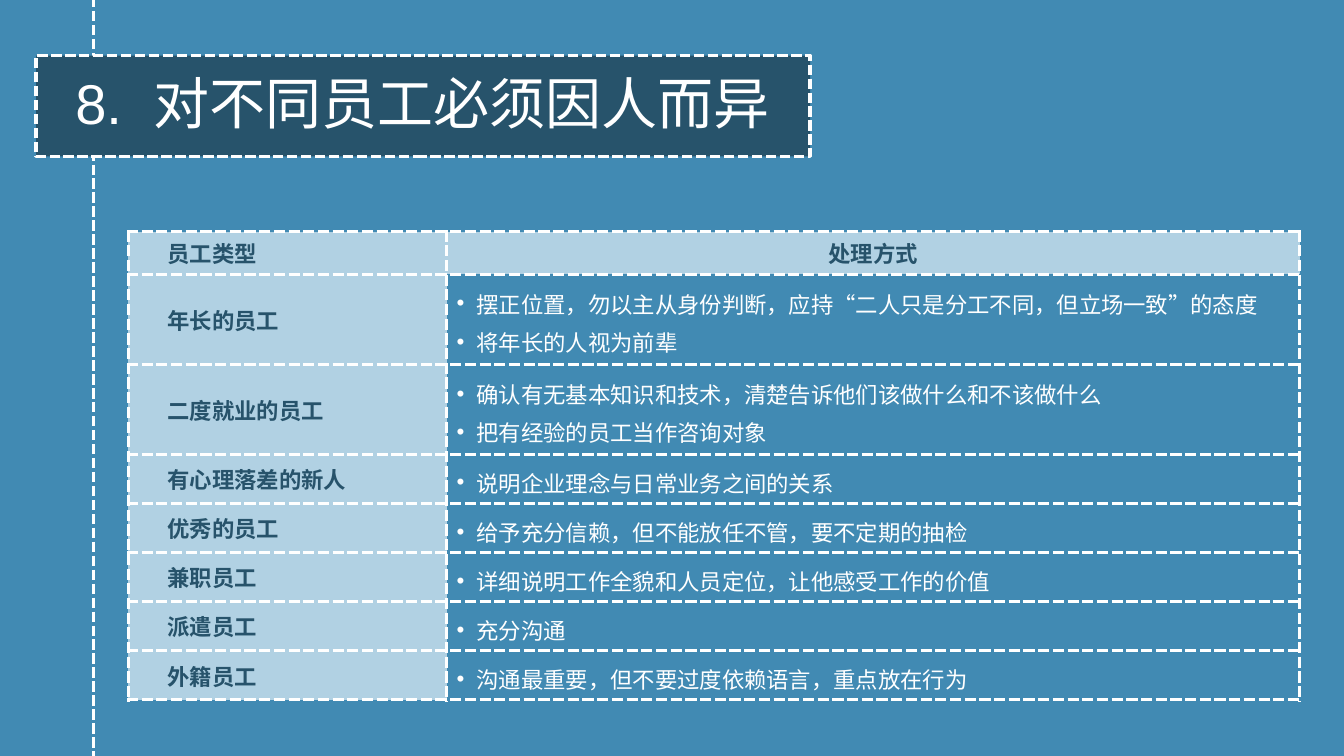
import pptx
import pptx.util
import pptx.dml.color
import pptx.enum.dml
import pptx.enum.shapes
import pptx.enum.text
import pptx.oxml.ns
from lxml import etree

Cm, Pt = pptx.util.Cm, pptx.util.Pt
ALIGN = pptx.enum.text.PP_ALIGN
DASH = pptx.enum.dml.MSO_LINE.SQUARE_DOT

HEADING = "8.\t对不同员工必须因人而异"
COLUMN_HEADS = ("员工类型", "处理方式")
EMPLOYEES = [
    ("年长的员工", ["摆正位置，勿以主从身份判断，应持“二人只是分工不同，但立场一致”的态度",
               "将年长的人视为前辈"]),
    ("二度就业的员工", ["确认有无基本知识和技术，清楚告诉他们该做什么和不该做什么",
                 "把有经验的员工当作咨询对象"]),
    ("有心理落差的新人", ["说明企业理念与日常业务之间的关系"]),
    ("优秀的员工", ["给予充分信赖，但不能放任不管，要不定期的抽检"]),
    ("兼职员工", ["详细说明工作全貌和人员定位，让他感受工作的价值"]),
    ("派遣员工", ["充分沟通"]),
    ("外籍员工", ["沟通最重要，但不要过度依赖语言，重点放在行为"]),
]
COLORS = {"background": "418AB3", "dark": "27536B", "light": "B1D1E3", "white": "FFFFFF"}
TITLE_FONT, TABLE_FONT = "Arial", "Noto Sans CJK SC"
COLUMN_WIDTHS = (8.03, 21.49)
HEAD_HEIGHT = 1.02
ROW_HEIGHTS = {1: 1.23, 2: 2.27}


def color(name):
    return pptx.dml.color.RGBColor.from_string(COLORS[name])


def add_xml(parent, tag, **attributes):
    return etree.SubElement(parent, pptx.oxml.ns.qn(tag), attributes)


def dash(line):
    line.color.rgb = color("white")
    line.width = Pt(2.5)
    line.dash_style = DASH


def set_font(paragraph, name, size, ink, bold=False):
    font = paragraph.font
    font.name, font.size, font.bold = name, Pt(size), bold
    font.color.rgb = color(ink)


def add_borders(cell):
    properties = cell._tc.get_or_add_tcPr()
    for side in "LRTB":
        border = add_xml(properties, f"a:ln{side}", w=str(Pt(2.25)))
        add_xml(add_xml(border, "a:solidFill"), "a:srgbClr", val=COLORS["white"])
        add_xml(border, "a:prstDash", val="sysDash")


def fill_cell(cell, lines, ink, shade=None, left=0.25, align=ALIGN.LEFT, bullets=False):
    add_borders(cell)
    if shade:
        cell.fill.solid()
        cell.fill.fore_color.rgb = color(shade)
    else:
        cell.fill.background()
    cell.vertical_anchor = pptx.enum.text.MSO_ANCHOR.MIDDLE
    cell.margin_left, cell.margin_right = Cm(left), Cm(0.25)
    cell.margin_top = cell.margin_bottom = Cm(0.13)
    cell.text_frame.text = "\n".join(lines)
    for paragraph in cell.text_frame.paragraphs:
        paragraph.alignment = align
        if bullets:
            layout = paragraph._p.get_or_add_pPr()
            layout.set("marL", str(Cm(0.5)))
            layout.set("indent", str(-Cm(0.5)))
            add_xml(layout, "a:buFont", typeface="Arial")
            add_xml(layout, "a:buChar", char="•")
            paragraph.line_spacing = 1.2
        set_font(paragraph, TABLE_FONT, 16, ink, bold=not bullets)


def add_title(slide):
    rail = slide.shapes.add_connector(
        pptx.enum.shapes.MSO_CONNECTOR.STRAIGHT, Cm(2.36), Cm(-0.43), Cm(2.36), Cm(19.6))
    dash(rail.line)
    add_xml(rail._element.spPr, "a:effectLst")

    banner = slide.shapes.add_shape(
        pptx.enum.shapes.MSO_SHAPE.RECTANGLE, Cm(0.91), Cm(1.4), Cm(19.51), Cm(2.54))
    banner.shadow.inherit = False
    banner.fill.solid()
    banner.fill.fore_color.rgb = color("dark")
    dash(banner.line)
    frame = banner.text_frame
    frame.word_wrap = True
    frame.vertical_anchor = pptx.enum.text.MSO_ANCHOR.MIDDLE
    frame.margin_left, frame.margin_right = Cm(0.99), Cm(0.79)
    frame.margin_top = frame.margin_bottom = Cm(0.5)
    frame.text = HEADING
    heading = frame.paragraphs[0]
    heading.alignment = ALIGN.LEFT
    heading.line_spacing = 0.9
    tabs = add_xml(heading._p.get_or_add_pPr(), "a:tabLst")
    add_xml(tabs, "a:tab", pos=str(Cm(1.98)), algn="l")
    set_font(heading, TITLE_FONT, 40, "white")


def add_employee_table(slide):
    heights = [HEAD_HEIGHT] + [ROW_HEIGHTS[len(advice)] for _, advice in EMPLOYEES]
    table = slide.shapes.add_table(
        len(heights), len(COLUMN_WIDTHS), Cm(3.23), Cm(5.84),
        Cm(sum(COLUMN_WIDTHS)), Cm(sum(heights))).table
    table.horz_banding = table.first_row = False
    for column, width in zip(table.columns, COLUMN_WIDTHS):
        column.width = Cm(width)
    for row, height in zip(table.rows, heights):
        row.height = Cm(height)

    kind_head, advice_head = COLUMN_HEADS
    fill_cell(table.cell(0, 0), [kind_head], "dark", "light", left=0.99)
    fill_cell(table.cell(0, 1), [advice_head], "dark", "light", align=ALIGN.CENTER)
    for index, (kind, advice) in enumerate(EMPLOYEES, 1):
        fill_cell(table.cell(index, 0), [kind], "dark", "light", left=0.99)
        fill_cell(table.cell(index, 1), advice, "white", bullets=True)


def main():
    deck = pptx.Presentation()
    deck.slide_width, deck.slide_height = Cm(33.87), Cm(19.05)
    slide = deck.slides.add_slide(deck.slide_layouts[6])
    slide.background.fill.solid()
    slide.background.fill.fore_color.rgb = color("background")
    add_title(slide)
    add_employee_table(slide)
    deck.save("out.pptx")


if __name__ == "__main__":
    main()
